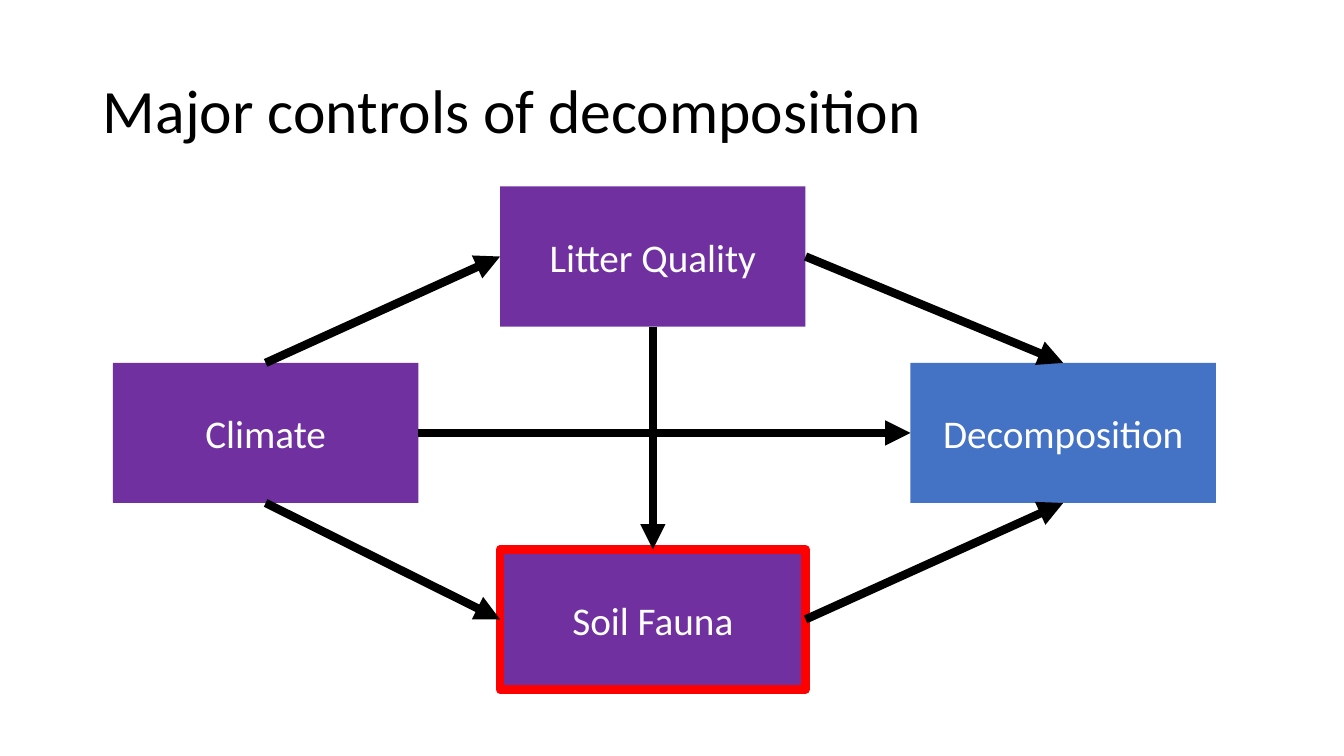
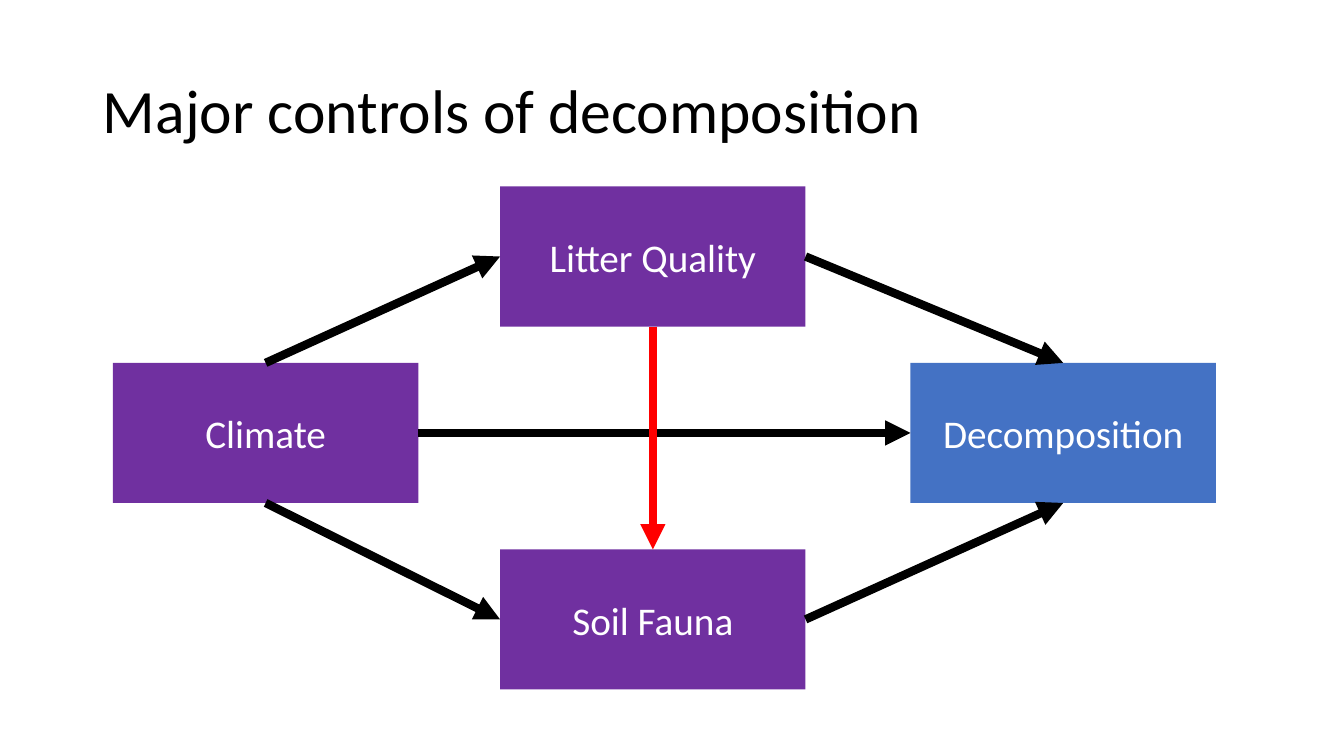
from pptx import Presentation
from pptx.dml.color import RGBColor
from pptx.enum.shapes import MSO_CONNECTOR as CONN, MSO_SHAPE as SHAPE
from pptx.enum.text import MSO_ANCHOR as ANCHOR, MSO_AUTO_SIZE as AUTO, PP_ALIGN as ALIGN
from pptx.oxml.ns import qn
from pptx.util import Pt
from lxml.etree import SubElement

PX = 9144
FONT = "Calibri"
BLACK = RGBColor(0x00, 0x00, 0x00)
WHITE = RGBColor(0xFF, 0xFF, 0xFF)
PURPLE = RGBColor(0x70, 0x30, 0xA0)
BLUE = RGBColor(0x44, 0x72, 0xC4)
RED = RGBColor(0xFF, 0x00, 0x00)

TITLE = "Major controls of decomposition"
BOX_W, BOX_H = 303, 139
LINE_W = 6
TOP, LEFT, BOTTOM, RIGHT = range(4)

BOXES = {
    "Litter Quality": (496, 185, PURPLE),
    "Soil Fauna": (496, 545, PURPLE),
    "Climate": (112, 360, PURPLE),
    "Decomposition": (903, 360, BLUE),
}
ARROWS = [
    ("Climate", TOP, "Litter Quality", LEFT),
    ("Climate", BOTTOM, "Soil Fauna", LEFT),
    ("Climate", RIGHT, "Decomposition", LEFT),
    ("Litter Quality", BOTTOM, "Soil Fauna", TOP),
    ("Soil Fauna", RIGHT, "Decomposition", BOTTOM),
    ("Litter Quality", RIGHT, "Decomposition", TOP),
]


def px(*values):
    return [round(v * PX) for v in values]


def put_text(sp, text, size, color, align=ALIGN.LEFT, spacing=1.0):
    tf = sp.text_frame
    tf.word_wrap = True
    tf.auto_size = AUTO.NONE
    tf.vertical_anchor = ANCHOR.MIDDLE
    p = tf.paragraphs[0]
    p.alignment = align
    p.line_spacing = spacing
    r = p.add_run()
    r.text = text
    r.font.name = FONT
    r.font.size = Pt(size)
    r.font.color.rgb = color


def put_title(s, text):
    sp = s.shapes.title
    sp.left, sp.top, sp.width, sp.height = px(92, 40, 1150, 145)
    put_text(sp, text, 44, BLACK, spacing=0.9)


def add_box(s, text, x, y, fill, outline=None):
    sp = s.shapes.add_shape(SHAPE.RECTANGLE, *px(x, y, BOX_W, BOX_H))
    sp.shadow.inherit = False
    sp.fill.solid()
    sp.fill.fore_color.rgb = fill
    if outline is None:
        sp.line.fill.background()
    else:
        sp.line.color.rgb = outline
        sp.line.width = Pt(LINE_W)
    put_text(sp, text, 28, WHITE, align=ALIGN.CENTER)
    return sp


def add_arrow(s, start, start_side, end, end_side, color):
    c = s.shapes.add_connector(CONN.STRAIGHT, 0, 0, 0, 0)
    c.begin_connect(start, start_side)
    c.end_connect(end, end_side)
    c.line.color.rgb = color
    c.line.width = Pt(LINE_W)
    SubElement(c.line._get_or_add_ln(), qn("a:tailEnd"), type="triangle")
    SubElement(c._element.spPr, qn("a:effectLst"))


def add_diagram(prs, red_box=None, red_arrow=None):
    s = prs.slides.add_slide(prs.slide_layouts[5])
    put_title(s, TITLE)
    boxes = {
        name: add_box(s, name, x, y, fill, RED if name == red_box else None)
        for name, (x, y, fill) in BOXES.items()
    }
    for start, start_side, end, end_side in ARROWS:
        color = RED if (start, end) == red_arrow else BLACK
        add_arrow(s, boxes[start], start_side, boxes[end], end_side, color)


def main():
    prs = Presentation()
    prs.slide_width, prs.slide_height = px(1333, 750)
    add_diagram(prs, red_box="Soil Fauna")
    add_diagram(prs, red_arrow=("Litter Quality", "Soil Fauna"))
    prs.save("out.pptx")


if __name__ == "__main__":
    main()
